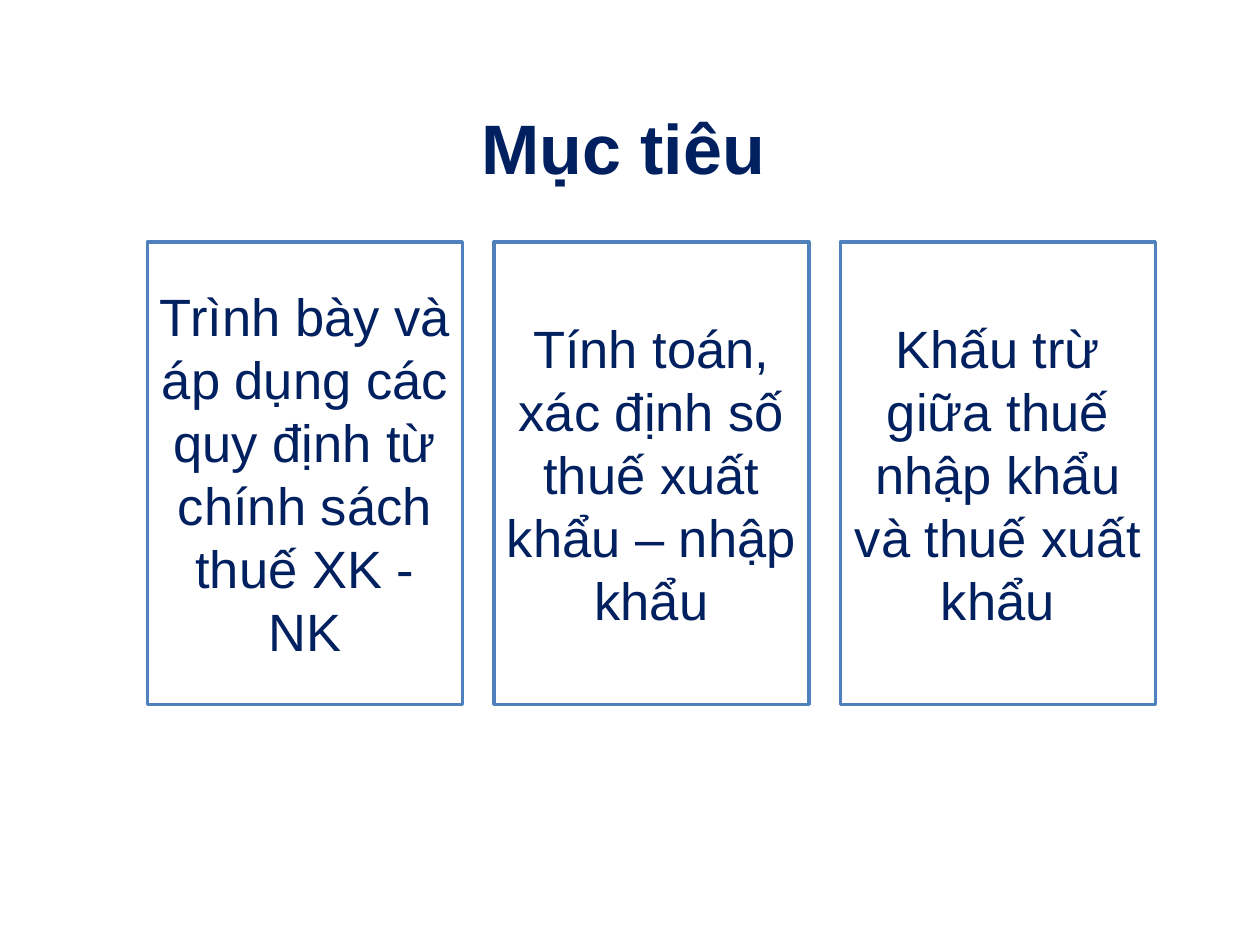
"""Build the lesson goals slide with three boxed aims."""
import pptx
import pptx.util
import pptx.dml.color
import pptx.enum.shapes
import pptx.enum.text

Inches = pptx.util.Inches
Pt = pptx.util.Pt
RGBColor = pptx.dml.color.RGBColor

TITLE = "Mục tiêu"
GOALS = [
    "Trình bày và áp dụng các quy định từ chính sách thuế XK - NK",
    "Tính toán, xác định số thuế xuất khẩu – nhập khẩu",
    "Khấu trừ giữa thuế nhập khẩu và thuế xuất khẩu",
]
NAVY = RGBColor(0x00, 0x20, 0x60)
BLUE = RGBColor(0x4F, 0x81, 0xBD)
WHITE = RGBColor(0xFF, 0xFF, 0xFF)
LEFT, TOP, WIDTH, HEIGHT, GAP = 1.17, 1.92, 2.5, 3.67, 0.25


def write(shape, text, size, bold=False, inset=0.1):
    frame = shape.text_frame
    frame.word_wrap = True
    frame.auto_size = pptx.enum.text.MSO_AUTO_SIZE.NONE
    frame.vertical_anchor = pptx.enum.text.MSO_ANCHOR.MIDDLE
    frame.margin_left = frame.margin_right = Inches(inset)
    frame.text = text
    para = frame.paragraphs[0]
    para.alignment = pptx.enum.text.PP_ALIGN.CENTER
    font = para.runs[0].font
    font.name, font.size, font.bold = "Arial", Pt(size), bold
    font.color.rgb = NAVY


def main():
    deck = pptx.Presentation()
    deck.slide_width, deck.slide_height = Inches(10), Inches(7.5)
    slide = deck.slides.add_slide(deck.slide_layouts[5])
    title = slide.shapes.title
    title.left, title.top = Inches(0.58), Inches(0.75)
    title.width, title.height = Inches(8.73), Inches(0.83)
    write(title, TITLE, 40, bold=True)

    group = slide.shapes.add_group_shape()
    for i, goal in enumerate(GOALS):
        box = group.shapes.add_shape(
            pptx.enum.shapes.MSO_SHAPE.RECTANGLE,
            Inches(LEFT + i * (WIDTH + GAP)), Inches(TOP),
            Inches(WIDTH), Inches(HEIGHT))
        box.shadow.inherit = False
        box.fill.solid()
        box.fill.fore_color.rgb = WHITE
        box.line.color.rgb = BLUE
        box.line.width = Pt(2)
        write(box, goal, 30, inset=0.08)
    deck.save("out.pptx")


if __name__ == "__main__":
    main()
